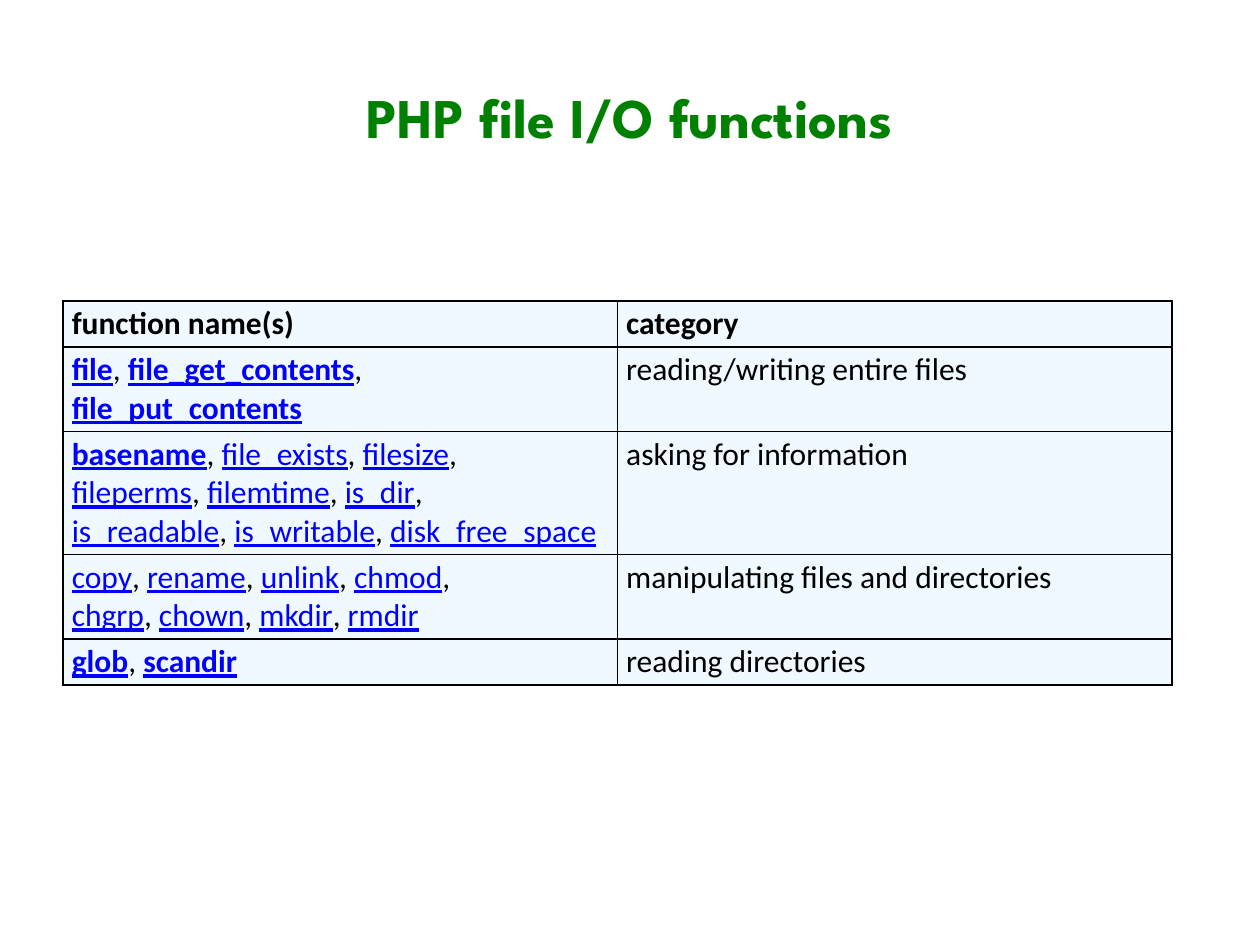
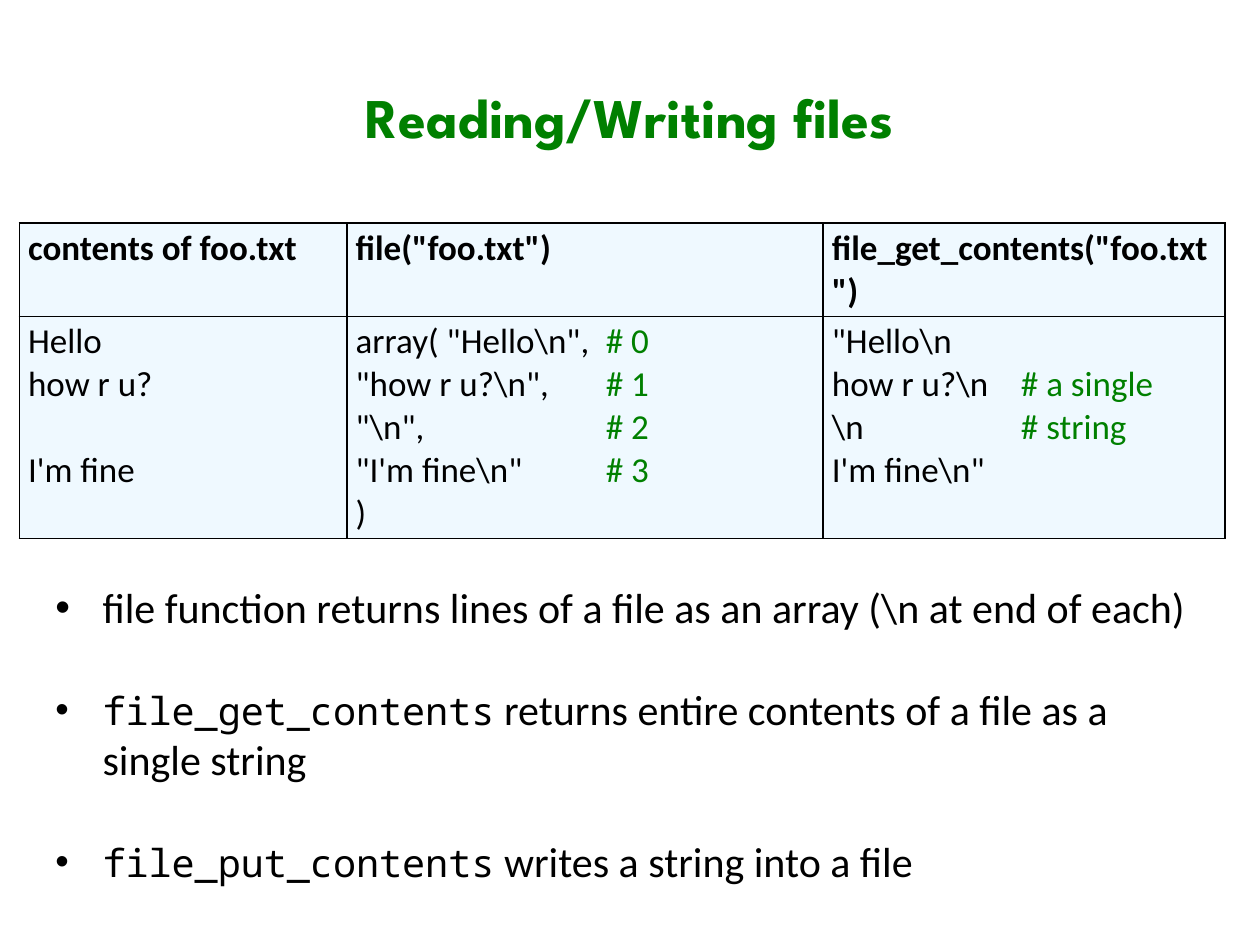
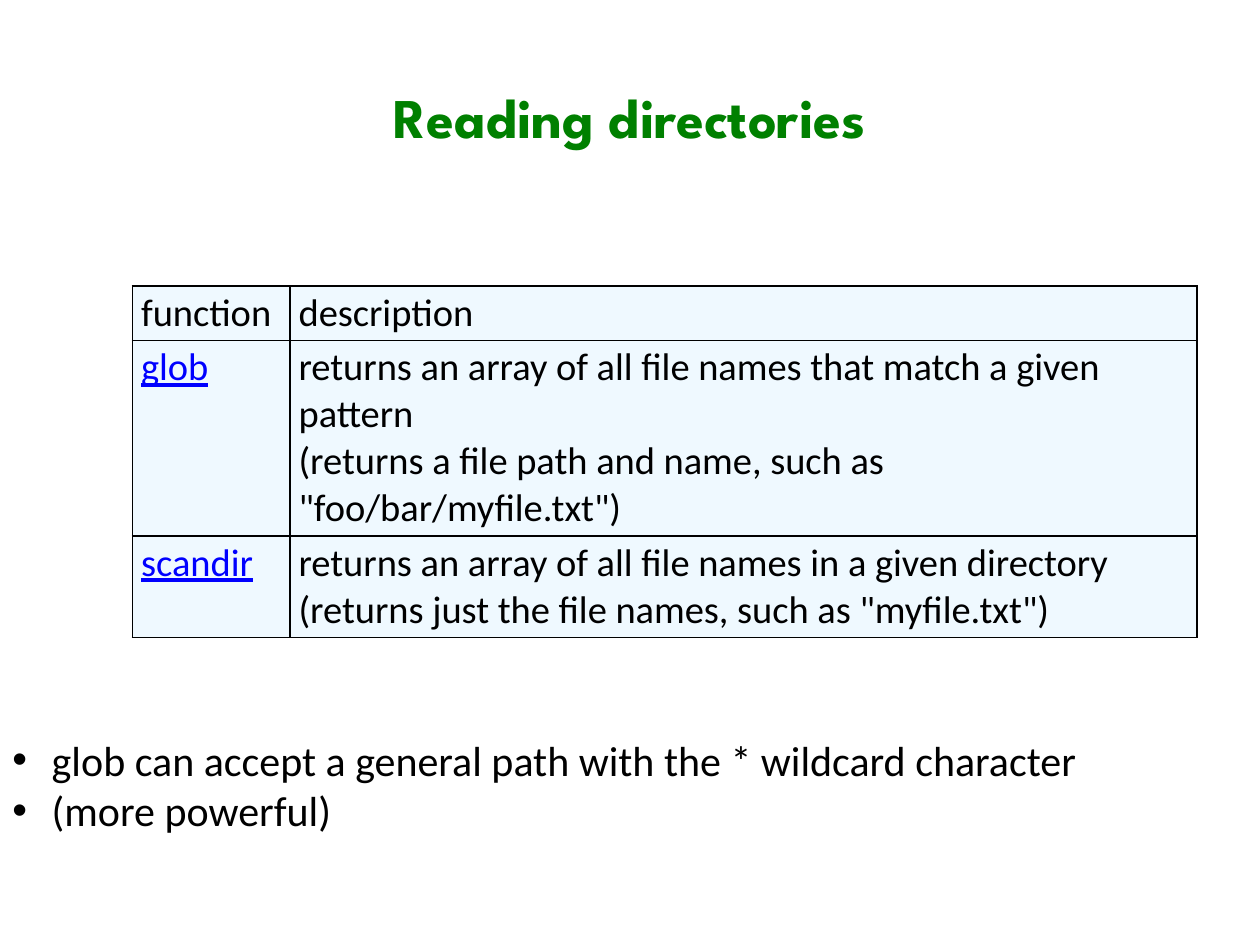
"""Build three slides on PHP file and directory functions."""
import pptx
import pptx.dml.color
import pptx.enum.text
import pptx.oxml
import pptx.oxml.ns
import pptx.util

Pt = pptx.util.Pt
GREEN, BLUE, BLACK, PALE = "008000", "0000FF", "000000", "EFF9FF"
LINK = {"color": BLUE, "underline": True}
BOLD_LINK = {**LINK, "bold": True}
BOLD = {"bold": True}
COMMENT = {"color": GREEN}
CODE = {"name": "Noto Sans Mono", "size": Pt(22)}
LINE_RATIO = 1.22
NAMESPACE = pptx.oxml.ns.nsdecls("a")


def rgb(hex_string):
    """Return the colour for a hex string."""
    return pptx.dml.color.RGBColor.from_string(hex_string)


def apply(target, values):
    """Set every attribute of target named in values."""
    for name, value in values.items():
        setattr(target, name, value)


def plain(text, **style):
    """Return one paragraph made of a single run."""
    return [(text, style)]


def function_links(lines, bold_names):
    """Return a paragraph of comma-separated function links over several lines."""
    runs = []
    for line in lines:
        if runs:
            runs.append((", \n", {}))
        for position, name in enumerate(line.split()):
            if position:
                runs.append((", ", {}))
            runs.append((name, BOLD_LINK if name in bold_names else LINK))
    return runs


class Deck:
    """Hold the shared style and the slide being built."""

    margins = {"margin_left": Pt(5.04), "margin_right": Pt(5.04),
               "margin_top": Pt(2.16), "margin_bottom": Pt(2.16)}

    def __init__(self):
        """Start an empty presentation of 10 by 7.5 inches."""
        self.presentation = pptx.Presentation()
        apply(self.presentation, {"slide_width": Pt(720), "slide_height": Pt(540)})
        self.slide = None

    def add_runs(self, paragraph, runs, size):
        """Fill a paragraph with runs, breaking lines at newlines."""
        for text, style in runs:
            values = {"name": "Calibri", "size": Pt(size), "bold": False,
                      "underline": False, "color": BLACK, **style}
            color = values.pop("color")
            for position, line in enumerate(text.split("\n")):
                if position:
                    paragraph.add_line_break()
                if line:
                    run = paragraph.add_run()
                    run.text = line
                    apply(run.font, values)
                    run.font.color.rgb = rgb(color)

    def add_paragraphs(self, frame, contents, size):
        """Set each content as a paragraph and return the paragraphs."""
        for position, runs in enumerate(contents):
            paragraph = frame.add_paragraph() if position else frame.paragraphs[0]
            self.add_runs(paragraph, runs, size)
        return frame.paragraphs

    def add_slide(self, heading):
        """Add a slide with its green centred title."""
        self.slide = self.presentation.slides.add_slide(
            self.presentation.slide_layouts[5])
        title = self.slide.shapes.title
        apply(title, {"left": Pt(36), "top": Pt(21.6),
                      "width": Pt(648), "height": Pt(90)})
        title.text_frame.vertical_anchor = pptx.enum.text.MSO_ANCHOR.MIDDLE
        paragraph = title.text_frame.paragraphs[0]
        paragraph.alignment = pptx.enum.text.PP_ALIGN.CENTER
        self.add_runs(paragraph, plain(heading, name="League Spartan",
                                       color=GREEN, bold=True), 32)

    def add_table(self, left, top, widths, row_lines, rows, size):
        """Add a bordered table whose row heights follow their line counts."""
        heights = [lines * size * LINE_RATIO + 4.32 for lines in row_lines]
        table = self.slide.shapes.add_table(
            len(rows), len(widths), Pt(left), Pt(top),
            Pt(sum(widths)), Pt(sum(heights))).table
        table.horz_banding = False
        for column, width in zip(table.columns, widths):
            column.width = Pt(width)
        for row, height, contents in zip(table.rows, heights, rows):
            row.height = Pt(height)
            for cell, content in zip(row.cells, contents):
                apply(cell, self.margins)
                self.add_paragraphs(cell.text_frame, content, size)
                self.add_border(cell)
                cell.fill.solid()
                cell.fill.fore_color.rgb = rgb(PALE)
        return table

    def add_border(self, cell):
        """Draw a thin black line on every side of a cell."""
        properties = cell._tc.get_or_add_tcPr()
        for side in ("lnL", "lnR", "lnT", "lnB"):
            properties.append(pptx.oxml.parse_xml(
                f'<a:{side} {NAMESPACE} w="{Pt(1)}"><a:solidFill>'
                f'<a:srgbClr val="{BLACK}"/></a:solidFill></a:{side}>'))

    def add_tab_stop(self, cell, position):
        """Align the tabbed text of a cell at one position."""
        for paragraph in cell.text_frame.paragraphs:
            paragraph._p.get_or_add_pPr().append(pptx.oxml.parse_xml(
                f'<a:tabLst {NAMESPACE}><a:tab pos="{Pt(position)}" algn="l"/>'
                '</a:tabLst>'))

    def add_bullets(self, left, top, width, height, indent, contents, gap=0):
        """Add a bulleted list with an equal gap between its points."""
        box = self.slide.shapes.add_textbox(Pt(left), Pt(top), Pt(width), Pt(height))
        frame = box.text_frame
        apply(frame, {"word_wrap": True,
                      "auto_size": pptx.enum.text.MSO_AUTO_SIZE.SHAPE_TO_FIT_TEXT})
        for position, point in enumerate(self.add_paragraphs(frame, contents, 24)):
            if position:
                point.space_before = Pt(gap)
            properties = point._p.get_or_add_pPr()
            properties.set("marL", str(Pt(indent)))
            properties.set("indent", str(-Pt(indent)))
            for bullet in (f'<a:buFont {NAMESPACE} typeface="Arial"/>',
                           f'<a:buChar {NAMESPACE} char="•"/>'):
                properties.append(pptx.oxml.parse_xml(bullet))


def main():
    """Build and save the slides."""
    deck = Deck()

    deck.add_slide("PHP file I/O functions")
    bold_names = {"file", "file_get_contents", "file_put_contents",
                  "basename", "glob", "scandir"}
    categories = {
        "reading/writing entire files": [
            "file file_get_contents", "file_put_contents"],
        "asking for information": [
            "basename file_exists filesize", "fileperms filemtime is_dir",
            "is_readable is_writable disk_free_space"],
        "manipulating files and directories": [
            "copy rename unlink chmod", "chgrp chown mkdir rmdir"],
        "reading directories": ["glob scandir"]}
    rows = [[[plain("function name(s)", **BOLD)], [plain("category", **BOLD)]]]
    rows += [[[function_links(names, bold_names)], [plain(category)]]
             for category, names in categories.items()]
    row_lines = [1] + [len(names) for names in categories.values()]
    deck.add_table(36, 172, (316.8, 316.8), row_lines, rows, 18)

    deck.add_slide("Reading/Writing files")
    headings = ["contents of foo.txt", 'file("foo.txt")',
                'file_get_contents("foo.txt")']
    contents = [plain("Hello"), plain("how r u?"), plain("I'm fine")]
    array_lines = ['array( "Hello\\n",', '"how r u?\\n",', '"\\n",', '"I\'m fine\\n"']
    array = [[(line + "\t", {}), (f"# {index}", COMMENT)]
             for index, line in enumerate(array_lines)]
    array.append(plain(")"))
    string = [plain('"Hello\\n'),
              [("how r u?\\n\t", {}), ("# a single", COMMENT)],
              [("\\n\t", {}), ("# string", COMMENT)],
              plain('I\'m fine\\n"')]
    results = deck.add_table(
        11, 127.5, (187.2, 272.2, 229.7), (2, 5),
        [[[plain(heading, **BOLD)] for heading in headings],
         [contents, array, string]], 20)
    last_line = results.cell(1, 0).text_frame.paragraphs[2]
    last_line.space_before = Pt(20 * LINE_RATIO)
    deck.add_tab_stop(results.cell(1, 1), 143)
    deck.add_tab_stop(results.cell(1, 2), 108)
    deck.add_bullets(24.5, 329, 673.2, 181.4, 27, [
        plain("file function returns lines of a file as an array (\\n at end of each)"),
        [("file_get_contents", CODE),
         (" returns entire contents of a file as a single string", {})],
        [("file_put_contents", CODE), (" writes a string into a file", {})],
    ], gap=24 * LINE_RATIO)

    deck.add_slide("Reading directories")
    descriptions = {
        "glob": "returns an array of all file names that match a given pattern \n"
                '(returns a file path and name, such as "foo/bar/myfile.txt")',
        "scandir": "returns an array of all file names in a given directory \n"
                   '(returns just the file names, such as "myfile.txt")'}
    rows = [[[plain("function")], [plain("description")]]]
    rows += [[[plain(name, **LINK)], [plain(description)]]
             for name, description in descriptions.items()]
    deck.add_table(75.6, 163.5, (90, 518.4), (1, 4, 2), rows, 22)
    deck.add_bullets(0, 416, 792, 65.5, 22.5, [
        plain("glob can accept a general path with the * wildcard character"),
        plain("(more powerful)")])

    deck.presentation.save("out.pptx")


if __name__ == "__main__":
    main()
